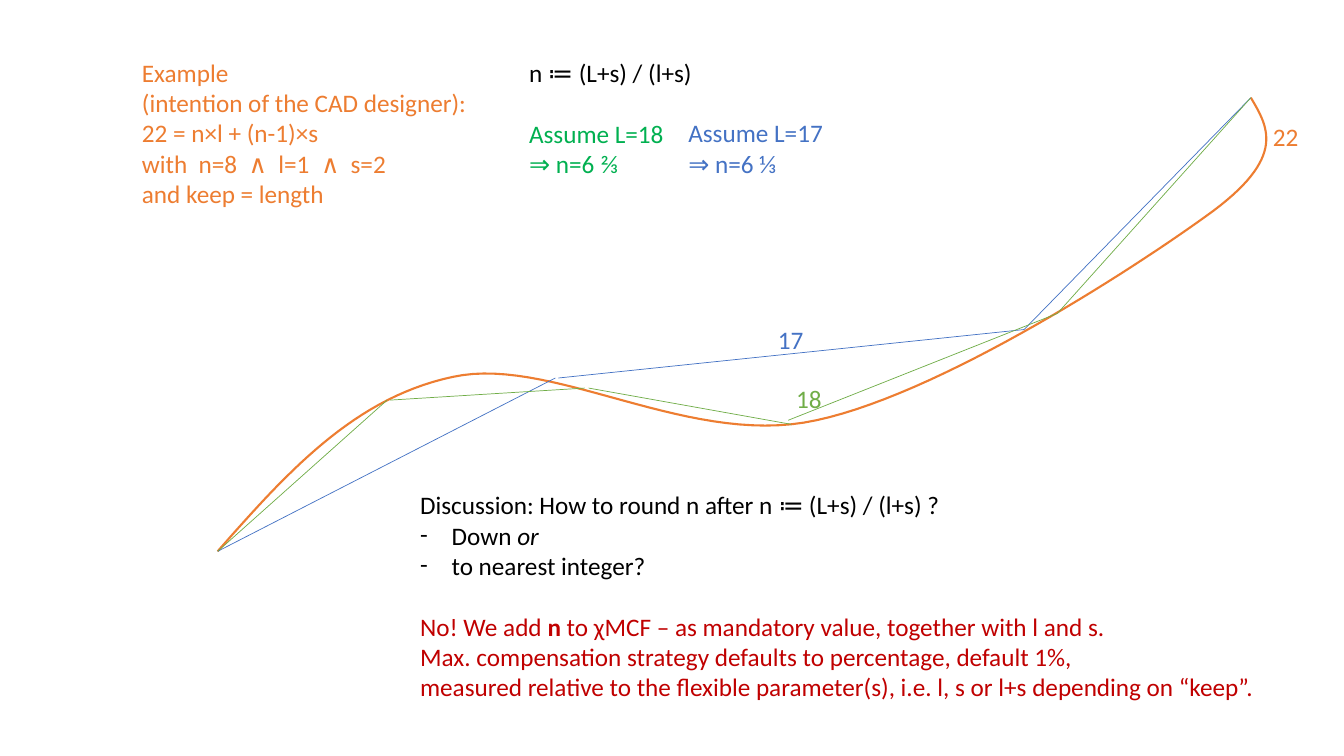
import lxml.etree
import pptx
import pptx.dml.color
import pptx.enum.shapes
import pptx.enum.text
import pptx.oxml.ns
import pptx.util

Pt = pptx.util.Pt
qn = pptx.oxml.ns.qn

ORANGE, BLUE, GREEN = "ED7D31", "4472C4", "70AD47"
BRIGHT_GREEN, RED, BLACK = "00B050", "C00000", "000000"
FONT_SIZE = 18
EMPTY_LINE = 22
BULLET_INDENT = 22.5
STEPS_PER_ARC = 30

START, END = (155.5, 393.8), (893.5, 69.8)

# Cubic arcs of the seam: two control points and an end point each
SEAM_ARCS = [
    ((203.8, 339.1), (252, 284.4), (323.3, 269.3)),
    ((394.6, 253.4), (492.5, 320.4), (583.2, 300.2)),
    ((673.9, 280.8), (815, 188.6), (866.9, 150.5)),
    ((918.7, 111.6), (905.8, 90.7), END),
]

# Chords that approximate the seam
CHORDS = {
    BLUE: [
        (START, (396.7, 270)),
        ((398.9, 270), (731.5, 235.4)),
        ((731.5, 235.4), END),
    ],
    GREEN: [
        (START, (276.5, 285.8)),
        ((278.6, 285.8), (417.6, 277.2)),
        ((420.5, 277.2), (565.2, 303.1)),
        ((563, 300.2), (755.3, 223.9)),
        ((755.3, 223.9), END),
    ],
}

LENGTH_LABELS = [
    ("22", 902.2, 82.8, ORANGE),
    ("18", 561.6, 270, GREEN),
    ("17", 548.6, 228.2, BLUE),
]


def rgb(color):
    return pptx.dml.color.RGBColor.from_string(color)


def style_line(line, color, width):
    line.color.rgb = rgb(color)
    line.width = Pt(width)


def arc_points(p0, p1, p2, p3):
    """Points along a cubic Bézier arc, without its start."""
    for step in range(1, STEPS_PER_ARC + 1):
        t = step / STEPS_PER_ARC
        u = 1 - t
        yield tuple(
            Pt(u**3 * a + 3 * u * u * t * b + 3 * u * t * t * c + t**3 * d)
            for a, b, c, d in zip(p0, p1, p2, p3)
        )


def add_seam(slide):
    points = []
    arc_start = START
    for arc in SEAM_ARCS:
        points.extend(arc_points(arc_start, *arc))
        arc_start = arc[-1]
    builder = slide.shapes.build_freeform(Pt(START[0]), Pt(START[1]))
    builder.add_line_segments(points, close=False)
    seam = builder.convert_to_shape()
    seam.shadow.inherit = False
    seam.fill.background()
    style_line(seam.line, ORANGE, 1.5)


def add_chord(slide, begin, end, color):
    chord = slide.shapes.add_connector(
        pptx.enum.shapes.MSO_CONNECTOR.STRAIGHT,
        *(Pt(value) for value in begin + end),
    )
    style_line(chord.line, color, 0.5)
    lxml.etree.SubElement(chord._element.spPr, qn("a:effectLst"))


def add_text(slide, box, paragraphs, wrap=True):
    """Each paragraph is (runs, color, options); a run is (text, style)."""
    frame = slide.shapes.add_textbox(*(Pt(value) for value in box)).text_frame
    frame.word_wrap = wrap
    frame.auto_size = pptx.enum.text.MSO_AUTO_SIZE.SHAPE_TO_FIT_TEXT
    for index, (runs, color, options) in enumerate(paragraphs):
        paragraph = frame.add_paragraph() if index else frame.paragraphs[0]
        if "gap" in options:
            paragraph.space_before = Pt(EMPTY_LINE)
        if "dash" in options:
            add_dash(paragraph)
        for text, style in runs:
            for line_index, line in enumerate(text.split("\n")):
                if line_index:
                    paragraph.add_line_break()
                run = paragraph.add_run()
                run.text = line
                run.font.name = "Calibri"
                run.font.size = Pt(FONT_SIZE)
                run.font.color.rgb = rgb(color)
                run.font.bold = style == "bold"
                run.font.italic = style == "italic"


def add_dash(paragraph):
    properties = paragraph._p.get_or_add_pPr()
    properties.set("marL", str(Pt(BULLET_INDENT)))
    properties.set("indent", str(-Pt(BULLET_INDENT)))
    lxml.etree.SubElement(properties, qn("a:buFont")).set("typeface", "Calibri")
    lxml.etree.SubElement(properties, qn("a:buChar")).set("char", "-")


def plain(text, color, options=()):
    return [(text, "")], color, options


def main():
    presentation = pptx.Presentation()
    presentation.slide_width, presentation.slide_height = Pt(960), Pt(540)
    slide = presentation.slides.add_slide(presentation.slide_layouts[6])

    # Seam and its chords
    add_seam(slide)
    for color, chords in CHORDS.items():
        for begin, end in chords:
            add_chord(slide, begin, end, color)
    for length, left, top, color in LENGTH_LABELS:
        add_text(slide, (left, top, 33, 29), [plain(length, color)], wrap=False)

    # Example
    add_text(slide, (94.3, 37.4, 249, 116.6), [
        plain("Example\n(intention of the CAD designer):", ORANGE),
        plain("22 = n×l + (n-1)×s", ORANGE),
        plain("with  n=8  ∧  l=1  ∧  s=2", ORANGE),
        plain("and keep = length", ORANGE),
    ], wrap=False)

    # Formula and the two assumptions
    add_text(slide, (370.8, 37.4, 229, 94.3), [
        plain("n ≔ (L+s) / (l+s)", BLACK),
        plain("Assume L=18", BRIGHT_GREEN, ["gap"]),
        plain("⇒ n=6 ⅔", BRIGHT_GREEN),
    ])
    add_text(slide, (484.6, 80.6, 115.2, 51), [
        plain("Assume L=17", BLUE),
        plain("⇒ n=6 ⅓", BLUE),
    ])

    # Discussion
    add_text(slide, (293, 346.3, 630, 160), [
        plain("Discussion: How to round n after n ≔ (L+s) / (l+s) ?", BLACK),
        ([("Down ", ""), ("or", "italic")], BLACK, ["dash"]),
        plain("to nearest integer?", BLACK, ["dash"]),
        ([
            ("No! We add ", ""),
            ("n", "bold"),
            (" to χMCF – as mandatory value, together with l and s.", ""),
        ], RED, ["gap"]),
        plain(
            "Max. compensation strategy defaults to percentage, default 1%,\n"
            "measured relative to the flexible parameter(s), "
            "i.e. l, s or l+s depending on “keep”.",
            RED,
        ),
    ])

    presentation.save("out.pptx")


if __name__ == "__main__":
    main()
